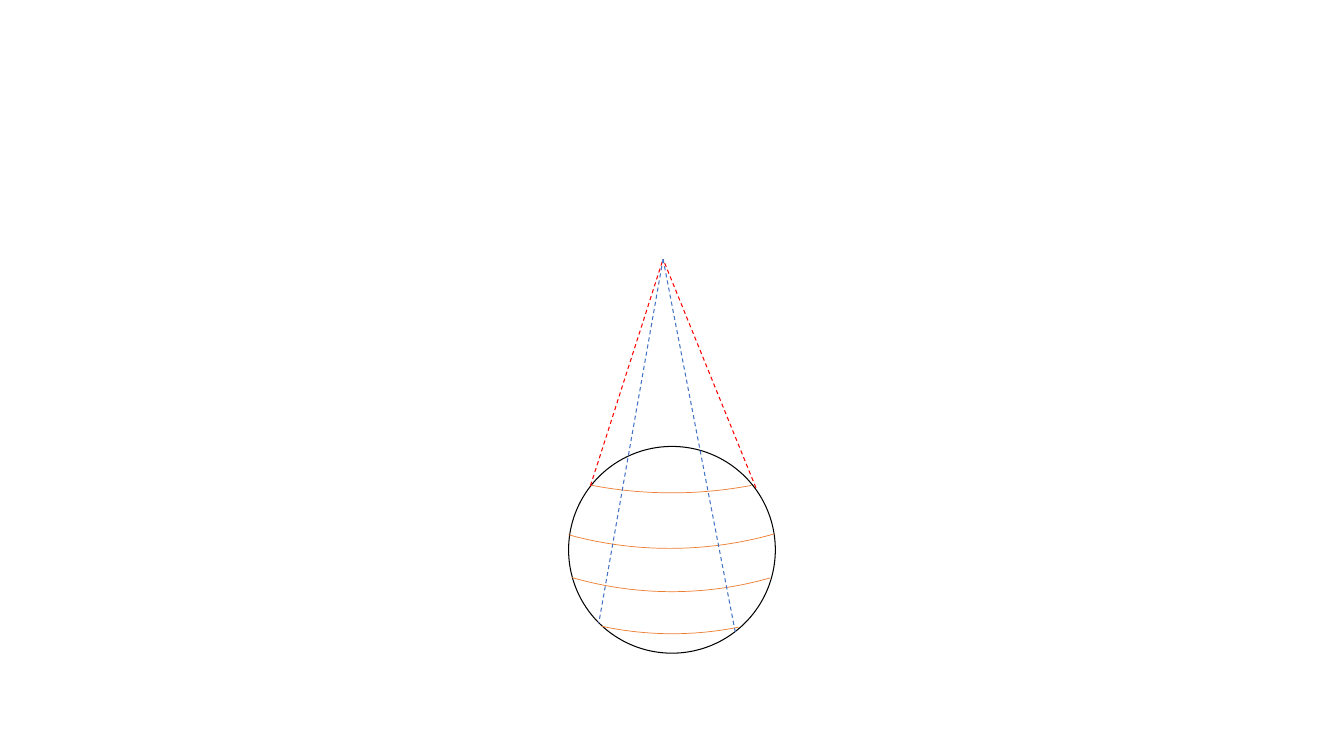
from dataclasses import dataclass

import pptx
import pptx.dml.color
import pptx.enum.dml
import pptx.enum.shapes
import pptx.oxml.ns
import pptx.util
from lxml import etree
from pptx.util import Cm

WHITE = pptx.dml.color.RGBColor(0xFF, 0xFF, 0xFF)
BLACK = pptx.dml.color.RGBColor(0x00, 0x00, 0x00)
ORANGE = pptx.dml.color.RGBColor(0xED, 0x7D, 0x31)
RED = pptx.dml.color.RGBColor(0xFF, 0x00, 0x00)
BLUE = pptx.dml.color.RGBColor(0x44, 0x72, 0xC4)
SHAPES = pptx.enum.shapes.MSO_SHAPE
DEGREE = 0.6  # one degree in adjustment units


@dataclass(frozen=True)
class Latitude:
    """A circle of latitude: frame in cm, visible span in degrees."""
    left: float
    top: float
    width: float
    height: float
    start: float
    end: float


@dataclass(frozen=True)
class Ray:
    """A dashed line of sight, in cm."""
    start: tuple[float, float]
    end: tuple[float, float]
    color: pptx.dml.color.RGBColor


LATITUDES = [
    Latitude(8.69, -0.03, 16.51, 16.0, 77.96, 102.86),
    Latitude(8.69, -0.05, 16.48, 14.96, 70.83, 109.4),
    Latitude(8.64, -0.1, 16.48, 13.92, 68.23, 111.07),
    Latitude(8.69, -0.05, 16.48, 12.47, 71.73, 108.75),
]
APEX = (16.71, 6.53)
RAYS = [
    Ray((14.88, 12.24), APEX, RED),
    Ray((19.05, 12.29), APEX, RED),
    Ray(APEX, (15.09, 15.7), BLUE),
    Ray(APEX, (18.54, 15.98), BLUE),
]


def add_outline(slide, kind, left: float, top: float, width: float,
                height: float, color: pptx.dml.color.RGBColor, weight: float):
    """Add an unfilled preset shape and return it."""
    shape = slide.shapes.add_shape(kind, Cm(left), Cm(top), Cm(width), Cm(height))
    shape.shadow.inherit = False
    shape.fill.background()
    shape.line.color.rgb = color
    shape.line.width = pptx.util.Pt(weight)
    return shape


def add_latitude(slide, latitude: Latitude) -> None:
    arc = add_outline(slide, SHAPES.ARC, latitude.left, latitude.top,
                      latitude.width, latitude.height, ORANGE, 0.5)
    arc.adjustments[0] = latitude.start * DEGREE
    arc.adjustments[1] = latitude.end * DEGREE


def add_ray(slide, ray: Ray) -> None:
    connector = slide.shapes.add_connector(
        pptx.enum.shapes.MSO_CONNECTOR.STRAIGHT,
        *map(Cm, ray.start), *map(Cm, ray.end))
    connector.line.color.rgb = ray.color
    connector.line.width = pptx.util.Pt(0.75)
    connector.line.dash_style = pptx.enum.dml.MSO_LINE.DASH
    etree.SubElement(connector._element.spPr, pptx.oxml.ns.qn("a:effectLst"))


def main() -> None:
    presentation = pptx.Presentation()
    presentation.slide_width = Cm(33.87)
    presentation.slide_height = Cm(19.05)
    slide = presentation.slides.add_slide(presentation.slide_layouts[6])

    # White backdrop
    backdrop = add_outline(slide, SHAPES.RECTANGLE, 13.49, 5.77, 6.78, 12.27, WHITE, 1)
    backdrop.fill.solid()
    backdrop.fill.fore_color.rgb = WHITE

    # Globe with its latitudes
    add_outline(slide, SHAPES.OVAL, 14.33, 11.25, 5.21, 5.21, BLACK, 0.75)
    for latitude in LATITUDES:
        add_latitude(slide, latitude)

    # Lines of sight
    for ray in RAYS:
        add_ray(slide, ray)

    presentation.save("out.pptx")


if __name__ == "__main__":
    main()
